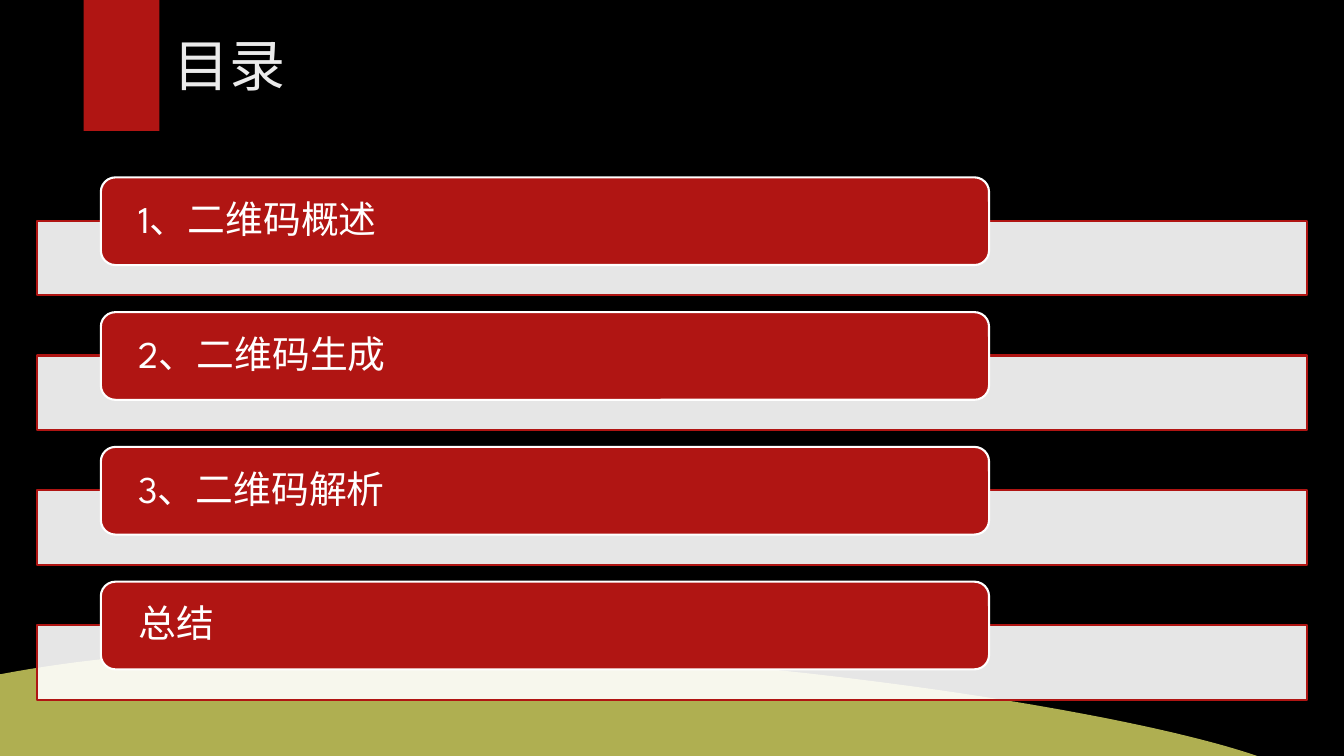
from lxml import etree
from pptx import Presentation
from pptx.dml.color import RGBColor
from pptx.enum import shapes, text
from pptx.oxml import ns
from pptx.util import Inches, Pt

BLACK = RGBColor(0, 0, 0)
WHITE = RGBColor(255, 255, 255)
PALE = RGBColor(0xEB, 0xEB, 0xEB)
RED = RGBColor(0xB0, 0x15, 0x13)
OLIVE = RGBColor(0xAF, 0xAF, 0x51)
LATIN = "League Spartan"
HAN = "Noto Sans CJK SC"
TOPICS = ["1、二维码概述", "2、二维码生成", "3、二维码解析", "总结"]
TOP, STEP = 1.76, 1.337


def paint(shape, fill, line=None):
    shape.shadow.inherit = False
    shape.fill.solid()
    shape.fill.fore_color.rgb = fill
    if line is None:
        shape.line.fill.background()
    else:
        shape.line.color.rgb = line
        shape.line.width = Pt(1.5)


def add_box(slide, kind, x, y, w, h, fill, line=None):
    box = slide.shapes.add_shape(kind, Inches(x), Inches(y), Inches(w), Inches(h))
    paint(box, fill, line)
    return box


def write(shape, words, size, color, font, inset, gap=0):
    frame = shape.text_frame
    frame.word_wrap = True
    frame.vertical_anchor = text.MSO_ANCHOR.MIDDLE
    frame.margin_left = frame.margin_right = Inches(inset)
    frame.margin_top = frame.margin_bottom = Inches(gap)
    para = frame.paragraphs[0]
    para.alignment = text.PP_ALIGN.LEFT
    run = para.add_run()
    run.text = words
    run.font.size = Pt(size)
    run.font.color.rgb = color
    run.font.name = font
    east = etree.SubElement(run.font._element, ns.qn("a:ea"))
    east.set("typeface", HAN)
    return para


def fade(shape, percent):
    tint = shape.fill._xPr.find(ns.qn("a:solidFill"))[0]
    alpha = etree.SubElement(tint, ns.qn("a:alpha"))
    alpha.set("val", str(percent * 1000))


def curve(a, b, c, d, t):
    s = 1 - t
    return s**3 * a + 3 * s * s * t * b + 3 * s * t * t * c + t**3 * d


def add_hill(slide):
    points = []
    for i in range(81):
        x = curve(0, 3.82, 10.54, 12.47, i / 80)
        y = curve(6.69, 5.96, 6.84, 7.5, i / 80)
        points.append((Inches(x), Inches(y)))
    pen = slide.shapes.build_freeform(*points[0])
    pen.add_line_segments(points[1:] + [(0, Inches(7.5))], close=True)
    paint(pen.convert_to_shape(), OLIVE)


def add_topic(slide, words, y):
    kinds = shapes.MSO_SHAPE
    bar = add_box(slide, kinds.RECTANGLE, 0.37, y + 0.43, 12.59, 0.74, WHITE, RED)
    fade(bar, 90)
    label = add_box(slide, kinds.ROUNDED_RECTANGLE, 1, y, 8.81, 0.87, RED, WHITE)
    write(label, words, 27, WHITE, LATIN, 0.33).line_spacing = 0.9


def add_title(slide, words):
    box = slide.shapes.add_textbox(Inches(1.62), 0, Inches(11.33), Inches(1.27))
    write(box, words, 40, PALE, HAN, 0.1, 0.05)


def main():
    deck = Presentation()
    deck.slide_width, deck.slide_height = Inches(13.33), Inches(7.5)
    slide = deck.slides.add_slide(deck.slide_layouts[6])
    slide.background.fill.solid()
    slide.background.fill.fore_color.rgb = BLACK
    add_box(slide, shapes.MSO_SHAPE.RECTANGLE, 0.83, 0, 0.75, 1.3, RED)
    add_hill(slide)
    for i, words in enumerate(TOPICS):
        add_topic(slide, words, TOP + i * STEP)
    add_title(slide, "目录")
    deck.save("out.pptx")


if __name__ == "__main__":
    main()
